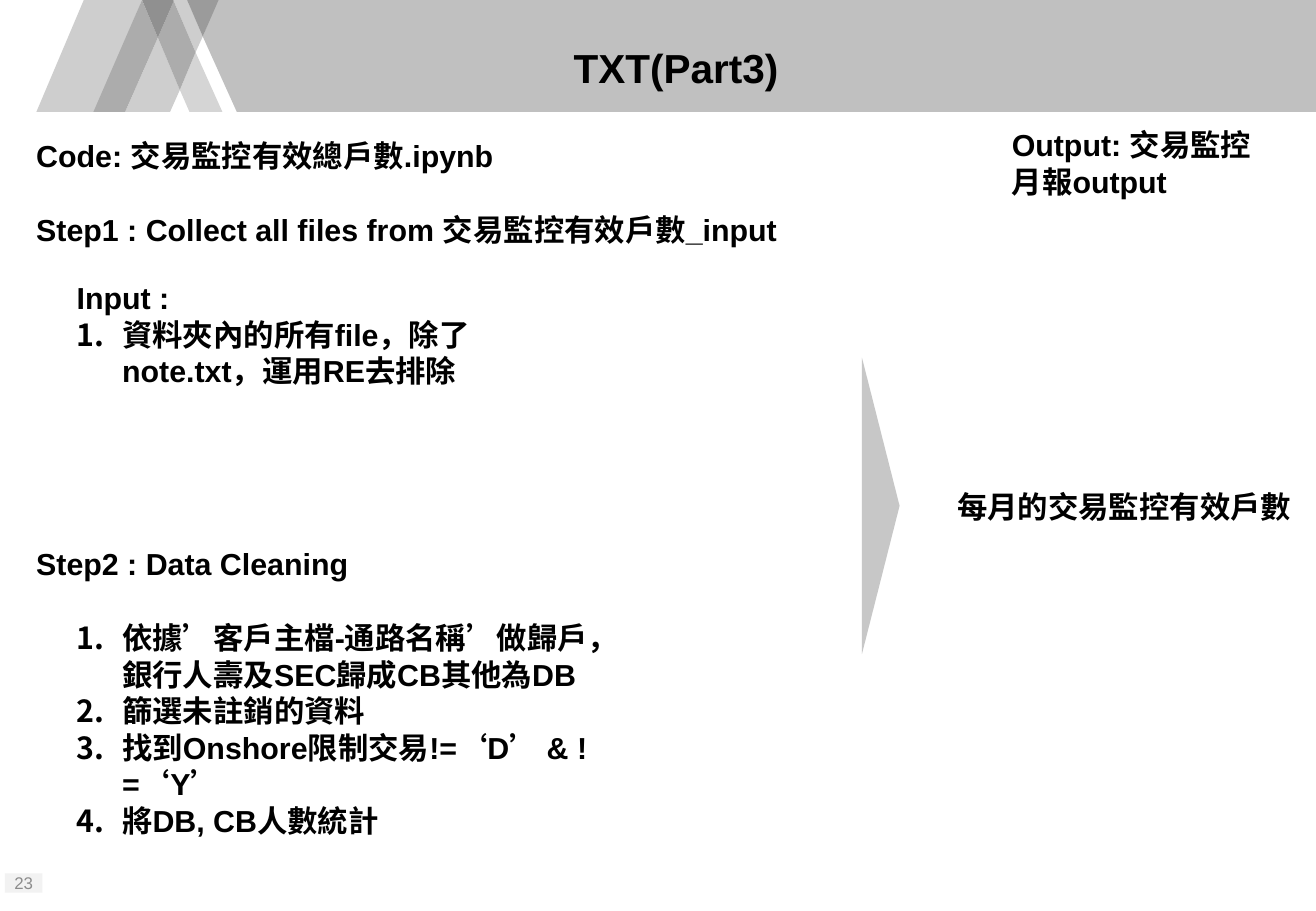
from lxml.etree import SubElement
from pptx import Presentation
from pptx.dml.color import RGBColor
from pptx.enum.shapes import MSO_SHAPE
from pptx.enum.text import MSO_ANCHOR, MSO_AUTO_SIZE, PP_ALIGN
from pptx.oxml.ns import qn
from pptx.util import Pt

BLACK = RGBColor(0x00, 0x00, 0x00)
BAND_GRAY = RGBColor(0xC0, 0xC0, 0xC0)
PALE_GRAY = RGBColor(0xD5, 0xD5, 0xD5)
LIGHT_GRAY = RGBColor(0xCE, 0xCE, 0xCE)
MIDDLE_GRAY = RGBColor(0xAC, 0xAC, 0xAC)
DARK_GRAY = RGBColor(0x9B, 0x9B, 0x9B)
DARKEST_GRAY = RGBColor(0x90, 0x90, 0x90)
ARROW_GRAY = RGBColor(0xC7, 0xC7, 0xC7)
NUMBER_FILL = RGBColor(0xF2, 0xF2, 0xF2)
NUMBER_GRAY = RGBColor(0x8C, 0x8C, 0x8C)

WIDTH = 780
BAND_BOTTOM = 66.3
LIST_INDENT = 27


def fill_plain(shape, color):
    shape.shadow.inherit = False
    shape.fill.solid()
    shape.fill.fore_color.rgb = color
    shape.line.fill.background()


def write_paragraphs(shape, lines, size=18, color=BLACK, bold=True):
    """Fill the shape with one plain, unbulleted paragraph per line."""
    frame = shape.text_frame
    frame.word_wrap = True
    frame.auto_size = MSO_AUTO_SIZE.NONE
    frame.text = "\n".join(lines)
    for paragraph in frame.paragraphs:
        paragraph.space_before = Pt(0)
        paragraph.font.name = "Arial"
        paragraph.font.size = Pt(size)
        paragraph.font.bold = bold
        paragraph.font.color.rgb = color


presentation = Presentation()
presentation.slide_width = Pt(WIDTH)
presentation.slide_height = Pt(540)
slide = presentation.slides.add_slide(presentation.slide_layouts[3])
title, input_list, cleaning_list = slide.placeholders

# Header band and its slanted stripes
header_pieces = [
    (BAND_GRAY, [(120.2, 21.6), (140.4, BAND_BOTTOM), (WIDTH, BAND_BOTTOM),
                 (WIDTH, 0), (128.9, 0)]),
    (PALE_GRAY, [(115.9, 31), (106.6, 53.3), (112.3, BAND_BOTTOM),
                 (141.4, BAND_BOTTOM), (131.8, BAND_BOTTOM)]),
    (LIGHT_GRAY, [(110.9, 0), (103, 0), (103, 0.7), (115.9, 31), (120.2, 21.6)]),
    (LIGHT_GRAY, [(93.6, 22.3), (74.2, BAND_BOTTOM), (100.8, BAND_BOTTOM),
                  (106.6, 53.3)]),
    (LIGHT_GRAY, [(84.2, 0), (49.7, 0), (21.6, BAND_BOTTOM), (56.2, BAND_BOTTOM)]),
    (DARK_GRAY, [(129.6, 0), (110.9, 0), (120.2, 21.6)]),
    (MIDDLE_GRAY, [(103, 0.7), (93.6, 22.3), (106.6, 53.3), (115.9, 31)]),
    (MIDDLE_GRAY, [(84.2, 0), (55.4, BAND_BOTTOM), (74.2, BAND_BOTTOM),
                   (93.6, 22.3)]),
    (DARKEST_GRAY, [(103, 0), (84.2, 0), (93.6, 22.3), (103, 0.7)]),
]
header_pieces[1][1].remove((141.4, BAND_BOTTOM))
for color, corners in header_pieces:
    points = [(Pt(x), Pt(y)) for x, y in corners]
    builder = slide.shapes.build_freeform(*points[0])
    builder.add_line_segments(points[1:])
    fill_plain(builder.convert_to_shape(), color)

# Title, brought in front of the band
title.left, title.top, title.width, title.height = Pt(151.2), Pt(11.5), Pt(499), Pt(56.9)
write_paragraphs(title, ["TXT(Part3)"], size=24)
title_frame = title.text_frame
title_frame.margin_left = title_frame.margin_right = 0
title_frame.margin_top = title_frame.margin_bottom = 0
title_frame.vertical_anchor = MSO_ANCHOR.MIDDLE
title_frame.paragraphs[0].alignment = PP_ALIGN.CENTER
slide.shapes._spTree.append(title._element)

# Slide number
number = slide.shapes.add_shape(MSO_SHAPE.RECTANGLE, Pt(2.9), Pt(517.7), Pt(22.3), Pt(11.5))
fill_plain(number, NUMBER_FILL)
write_paragraphs(number, ["23"], size=10, color=NUMBER_GRAY, bold=False)
number.text_frame.margin_left = number.text_frame.margin_right = Pt(2.9)
number.text_frame.vertical_anchor = MSO_ANCHOR.MIDDLE
number.text_frame.paragraphs[0].alignment = PP_ALIGN.CENTER

# Headings
headings = [
    (14.4, 121.7, 457.9, 28.8, ["Step1 : Collect all files from 交易監控有效戶數_input"]),
    (14.4, 319.7, 201.6, 28.8, ["Step2 : Data Cleaning"]),
    (14.4, 77.8, 288, 28.8, ["Code: 交易監控有效總戶數.ipynb"]),
    (592.6, 71.3, 157.7, 51.1, ["Output: 交易監控", "月報output"]),
    (560.2, 285.8, 214.6, 28.8, ["每月的交易監控有效戶數"]),
]
for left, top, width, height, lines in headings:
    box = slide.shapes.add_textbox(Pt(left), Pt(top), Pt(width), Pt(height))
    write_paragraphs(box, lines)

# Lists: a lead line without a number, then numbered steps
lists = [
    (input_list, 162, 272.2, 72.7, ["Input :"],
     ["資料夾內的所有file，除了note.txt，運用RE去排除"]),
    (cleaning_list, 363.6, 351.4, 116.6, [],
     ["依據’客戶主檔-通路名稱’做歸戶，銀行人壽及SEC歸成CB其他為DB",
      "篩選未註銷的資料",
      "找到Onshore限制交易!=‘D’ & !=‘Y’",
      "將DB, CB人數統計"]),
]
for placeholder, top, width, height, lead, steps in lists:
    placeholder.left, placeholder.top = Pt(38.2), Pt(top)
    placeholder.width, placeholder.height = Pt(width), Pt(height)
    write_paragraphs(placeholder, lead + steps)
    for index, paragraph in enumerate(placeholder.text_frame.paragraphs):
        properties = paragraph._p.get_or_add_pPr()
        numbered = index >= len(lead)
        indent = Pt(LIST_INDENT) if numbered else 0
        properties.set("marL", str(indent))
        properties.set("indent", str(-indent))
        bullet = properties.makeelement(qn("a:buAutoNum" if numbered else "a:buNone"))
        if numbered:
            bullet.set("type", "arabicPeriod")
        properties.find(qn("a:defRPr")).addprevious(bullet)

# Arrowhead pointing from the steps to the output
arrow = slide.shapes.add_shape(
    MSO_SHAPE.ISOSCELES_TRIANGLE, Pt(434.2), Pt(288.7), Pt(175.7), Pt(22.3))
arrow.rotation = 90
fill_plain(arrow, ARROW_GRAY)

presentation.save("out.pptx")
